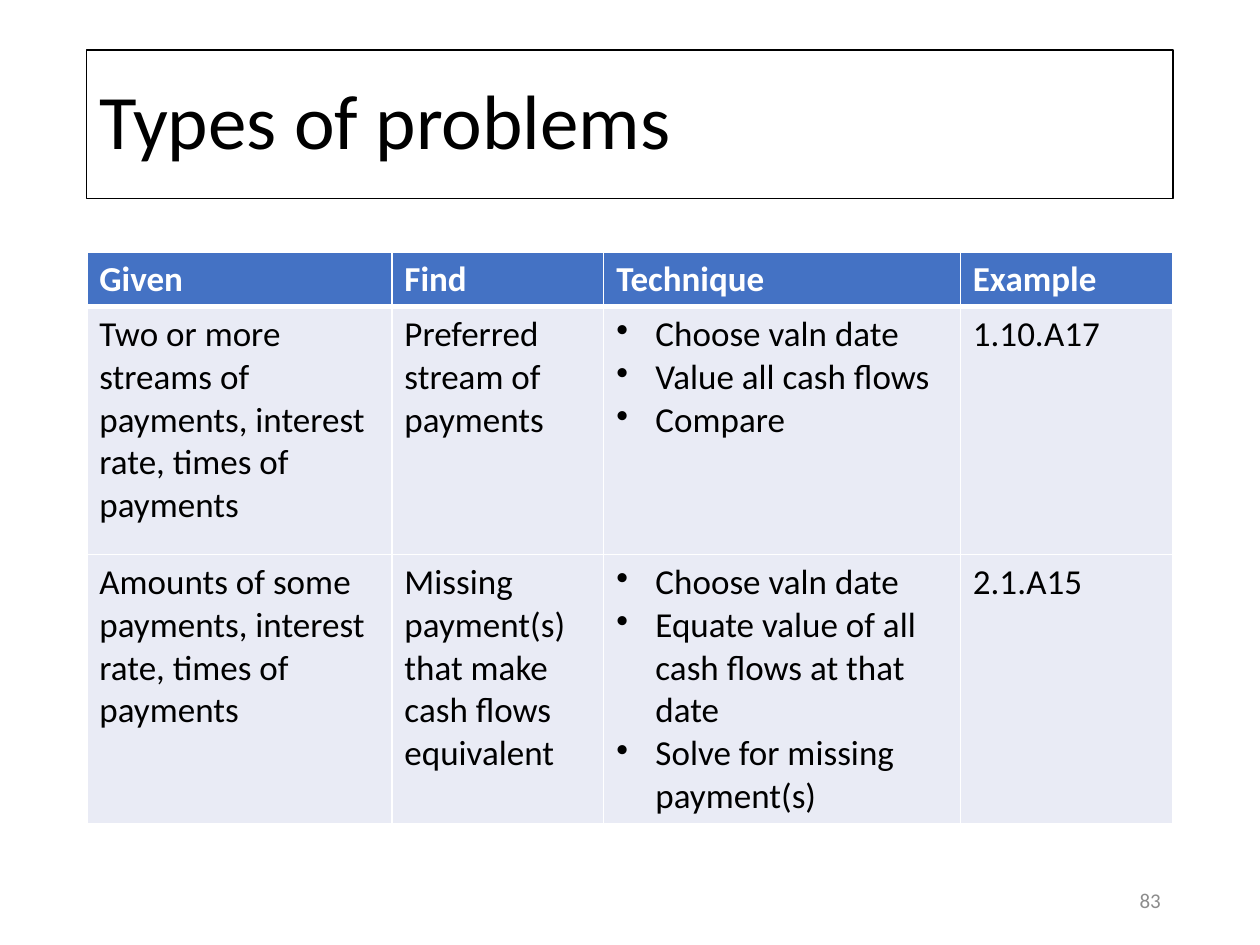
import dataclasses
import typing

import lxml.etree
import pptx
import pptx.dml.color
import pptx.enum.shapes
import pptx.enum.text
import pptx.oxml.ns
import pptx.util

Cm = pptx.util.Cm
Align = pptx.enum.text.PP_ALIGN


@dataclasses.dataclass(frozen=True)
class Theme:
    """Colours, font and type sizes of the slide."""

    font: str = "Calibri"
    text: str = "000000"
    header_text: str = "FFFFFF"
    header_fill: str = "4472C4"
    body_fill: str = "E9EBF5"
    border: str = "FFFFFF"
    number: str = "8C8C8C"
    title_size: float = 44
    table_size: float = 20
    number_size: float = 12


@dataclasses.dataclass(frozen=True)
class Box:
    """Position and size in centimetres."""

    left: float
    top: float
    width: float
    height: float

    def lengths(self) -> list[pptx.util.Length]:
        """Return the four values as lengths."""
        return [Cm(value) for value in dataclasses.astuple(self)]


class Problem(typing.NamedTuple):
    """One body row of the table."""

    given: str
    find: str
    technique: tuple[str, ...]
    example: str


THEME = Theme()
TITLE_BOX = Box(1.75, 1.01, 21.9, 3)
TABLE_BOX = Box(1.75, 5.08, 21.9, 11.53)
NUMBER_BOX = Box(17.94, 17.65, 5.71, 1.01)
COLUMN_WIDTHS = (6.15, 4.27, 7.19, 4.29)
ROW_HEIGHTS = (1.1, 5, 5.43)
BULLET_INDENT = Cm(0.79)
HEADINGS = ("Given", "Find", "Technique", "Example")
PROBLEMS = (
    Problem(
        "Two or more streams of payments, interest rate, times of payments",
        "Preferred stream of payments",
        ("Choose valn date", "Value all cash flows", "Compare"),
        "1.10.A17",
    ),
    Problem(
        "Amounts of some payments, interest rate, times of payments",
        "Missing payment(s) that make cash flows equivalent",
        (
            "Choose valn date",
            "Equate value of all cash flows at that date",
            "Solve for missing payment(s)",
        ),
        "2.1.A15",
    ),
)


def rgb(value: str) -> pptx.dml.color.RGBColor:
    """Turn a hex string into a colour."""
    return pptx.dml.color.RGBColor.from_string(value)


def style_paragraph(paragraph, size: float, color: str, bold: bool = False) -> None:
    """Set the font of a whole paragraph."""
    paragraph.font.name = THEME.font
    paragraph.font.size = pptx.util.Pt(size)
    paragraph.font.bold = bold
    paragraph.font.color.rgb = rgb(color)


def add_bullet(paragraph) -> None:
    """Give a paragraph a hanging bullet."""
    properties = paragraph._p.get_or_add_pPr()
    properties.set("marL", str(BULLET_INDENT))
    properties.set("indent", str(-BULLET_INDENT))
    bullet = lxml.etree.SubElement(properties, pptx.oxml.ns.qn("a:buChar"))
    bullet.set("char", "•")


def add_text(slide, box: Box, text: str, size: float, color: str, align: Align):
    """Add a one-paragraph text box, centred vertically."""
    shape = slide.shapes.add_textbox(*box.lengths())
    frame = shape.text_frame
    frame.word_wrap = True
    frame.vertical_anchor = pptx.enum.text.MSO_ANCHOR.MIDDLE
    paragraph = frame.paragraphs[0]
    paragraph.text = text
    paragraph.alignment = align
    style_paragraph(paragraph, size, color)
    return shape


def set_borders(cell, bottom_width: float) -> None:
    """Draw thin borders round a cell, with a chosen bottom width."""
    properties = cell._tc.get_or_add_tcPr()
    widths = {"a:lnL": 1, "a:lnR": 1, "a:lnT": 1, "a:lnB": bottom_width}
    for tag, width in widths.items():
        line = lxml.etree.SubElement(properties, pptx.oxml.ns.qn(tag))
        line.set("w", str(pptx.util.Pt(width)))
        fill = lxml.etree.SubElement(line, pptx.oxml.ns.qn("a:solidFill"))
        color = lxml.etree.SubElement(fill, pptx.oxml.ns.qn("a:srgbClr"))
        color.set("val", THEME.border)


def fill_cell(cell, content: str | tuple[str, ...], is_header: bool) -> None:
    """Write plain text, or bullets for a tuple, and style the cell."""
    bulleted = isinstance(content, tuple)
    cell.text = "\n".join(content) if bulleted else content
    for paragraph in cell.text_frame.paragraphs:
        if bulleted:
            add_bullet(paragraph)
        color = THEME.header_text if is_header else THEME.text
        style_paragraph(paragraph, THEME.table_size, color, is_header)
    set_borders(cell, 3 if is_header else 1)
    cell.fill.solid()
    cell.fill.fore_color.rgb = rgb(THEME.header_fill if is_header else THEME.body_fill)


def add_problem_table(slide) -> None:
    """Add the table of problem types."""
    rows = (HEADINGS, *PROBLEMS)
    table = slide.shapes.add_table(len(rows), len(HEADINGS), *TABLE_BOX.lengths()).table
    table.horz_banding = False
    for column, width in zip(table.columns, COLUMN_WIDTHS):
        column.width = Cm(width)
    for row_index, (row, height) in enumerate(zip(rows, ROW_HEIGHTS)):
        table.rows[row_index].height = Cm(height)
        for column_index, content in enumerate(row):
            fill_cell(table.cell(row_index, column_index), content, row_index == 0)


def main() -> None:
    """Build and save the slide."""
    presentation = pptx.Presentation()
    presentation.slide_width = Cm(25.4)
    presentation.slide_height = Cm(19.05)
    slide = presentation.slides.add_slide(presentation.slide_layouts[6])
    title = add_text(
        slide, TITLE_BOX, "Types of problems", THEME.title_size, THEME.text, Align.LEFT
    )
    title.text_frame.paragraphs[0].line_spacing = 0.9
    title.line.color.rgb = rgb(THEME.text)
    title.line.width = pptx.util.Pt(0.75)
    add_problem_table(slide)
    add_text(slide, NUMBER_BOX, "83", THEME.number_size, THEME.number, Align.RIGHT)
    presentation.save("out.pptx")


if __name__ == "__main__":
    main()
